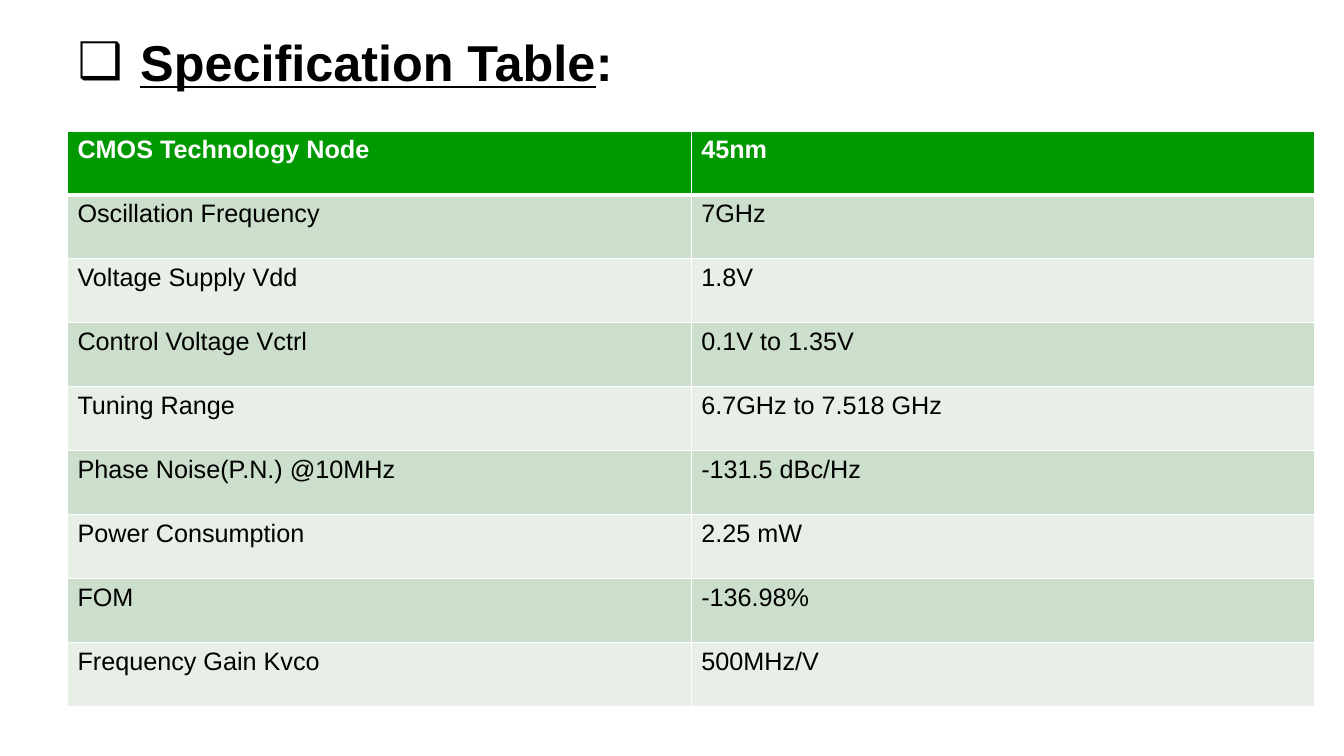
from lxml.etree import SubElement
from pptx import Presentation
from pptx.dml.color import RGBColor
from pptx.enum.text import MSO_ANCHOR as Anchor, PP_ALIGN as Align
from pptx.oxml.ns import qn
from pptx.util import Cm, Pt

COLORS = {"ink": "000000", "paper": "FFFFFF", "header": "009900",
          "odd": "CCDECC", "even": "E7EFE7"}
SPECIFICATIONS = [
    ("CMOS Technology Node", "45nm"),
    ("Oscillation Frequency", "7GHz"),
    ("Voltage Supply Vdd", "1.8V"),
    ("Control Voltage Vctrl", "0.1V to 1.35V"),
    ("Tuning Range", "6.7GHz to 7.518 GHz"),
    ("Phase Noise(P.N.) @10MHz", "-131.5 dBc/Hz"),
    ("Power Consumption", "2.25 mW"),
    ("FOM", "-136.98%"),
    ("Frequency Gain Kvco", "500MHz/V"),
]


def add_text(paragraph, text, size=18, color="ink", bold=False, underline=False):
    """Append a formatted run to a paragraph."""
    run = paragraph.add_run()
    run.text = text
    font = run.font
    font.name, font.size = "Arial", Pt(size)
    font.bold, font.underline = bold, underline
    font.color.rgb = RGBColor.from_string(COLORS[color])


def add_bullet(paragraph, char, indent):
    """Give a paragraph a bullet with a hanging indent."""
    properties = paragraph._p.get_or_add_pPr()
    properties.set("marL", str(indent))
    properties.set("indent", str(-indent))
    SubElement(properties, qn("a:buFont"), typeface="Arial")
    SubElement(properties, qn("a:buChar"), char=char)


def set_borders(cell, **widths):
    """Draw white cell borders, with widths in points keyed by side."""
    properties = cell._tc.get_or_add_tcPr()
    for side in "LRTB":
        line = SubElement(properties, qn(f"a:ln{side}"), w=str(Pt(widths.get(side, 1))))
        fill = SubElement(line, qn("a:solidFill"))
        SubElement(fill, qn("a:srgbClr"), val=COLORS["paper"])


def place_heading(slide, left, top, width, height):
    """Move the title placeholder into the box and write the heading."""
    heading = slide.shapes.title
    heading.left, heading.top, heading.width, heading.height = left, top, width, height
    frame = heading.text_frame
    frame.word_wrap = True
    frame.vertical_anchor = Anchor.MIDDLE
    paragraph = frame.paragraphs[0]
    paragraph.alignment = Align.LEFT
    add_bullet(paragraph, "❑", Cm(1.58))
    add_text(paragraph, "Specification Table", size=36, bold=True, underline=True)
    add_text(paragraph, ":", size=36, bold=True)


def place_specifications(slide, left, top, width, height):
    """Fill the box with the banded table of specifications."""
    specifications = slide.shapes.add_table(
        len(SPECIFICATIONS), 2, left, top, width, height).table
    for row, entries in enumerate(SPECIFICATIONS):
        is_header = row == 0
        band = "header" if is_header else ("even", "odd")[row % 2]
        for column, entry in enumerate(entries):
            cell = specifications.cell(row, column)
            set_borders(cell, B=3 if is_header else 1, T=3 if row == 1 else 1)
            cell.fill.solid()
            cell.fill.fore_color.rgb = RGBColor.from_string(COLORS[band])
            add_text(cell.text_frame.paragraphs[0], entry, bold=is_header,
                     color="paper" if is_header else "ink")


def main():
    """Build the slide and save it."""
    deck = Presentation()
    deck.slide_width, deck.slide_height = Cm(33.87), Cm(19.05)
    slide = deck.slides.add_slide(deck.slide_layouts[5])
    margin = Cm(1.7)
    place_heading(slide, margin, Cm(0.53), Cm(30.48), Cm(2.03))
    place_specifications(slide, margin, Cm(3.3), Cm(31.44), Cm(14.51))
    deck.save("out.pptx")


if __name__ == "__main__":
    main()
